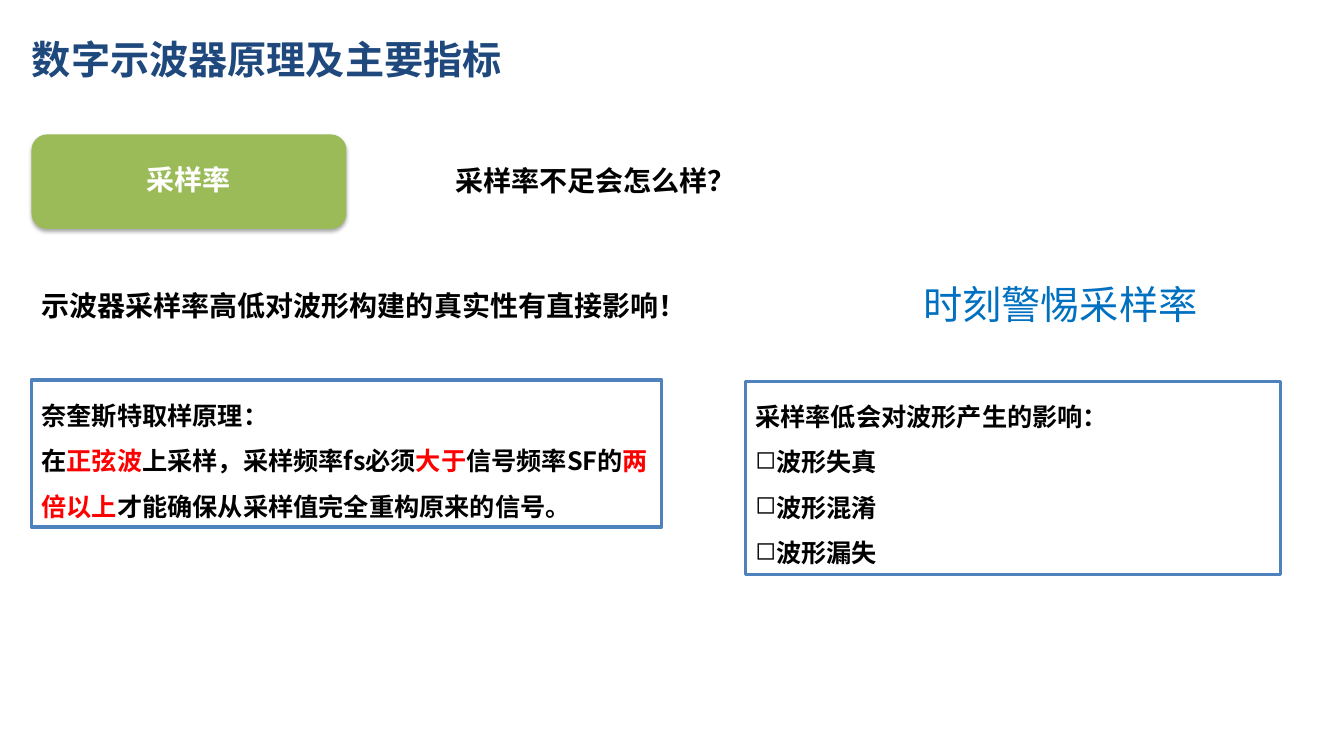
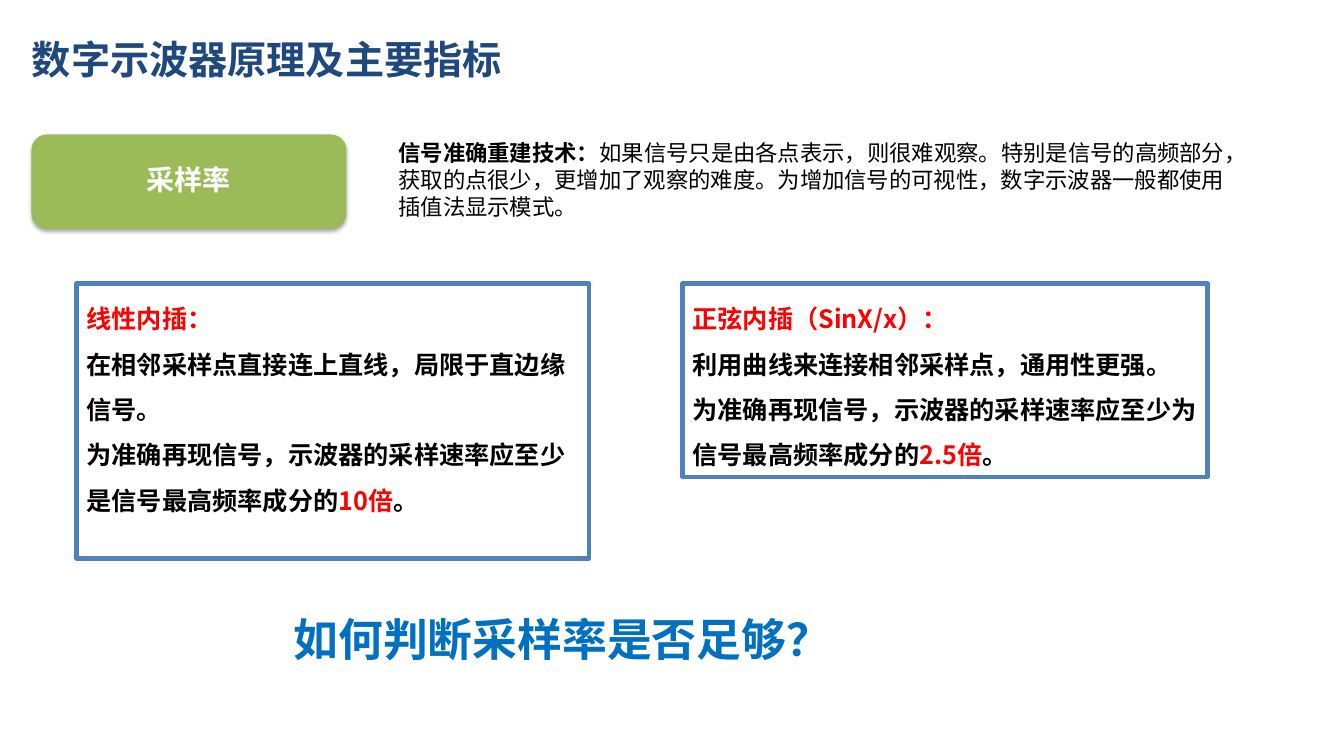
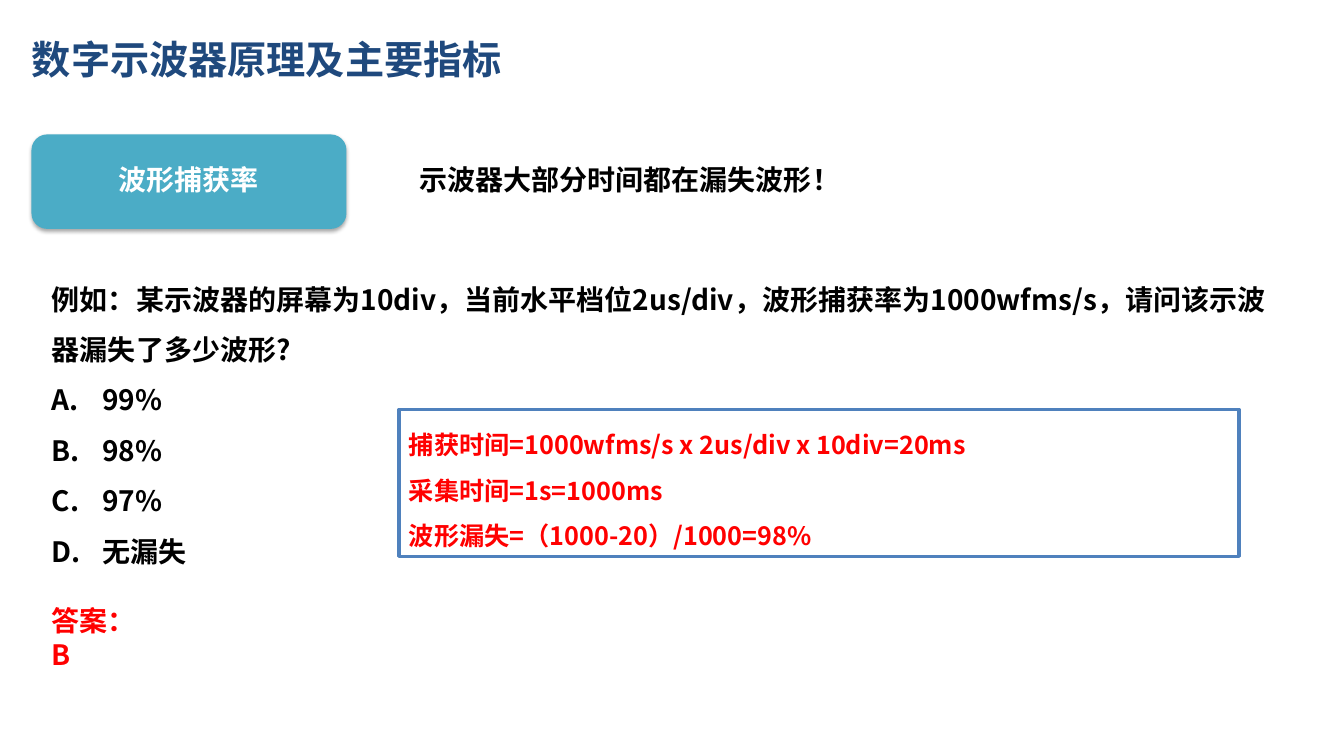
from lxml.etree import SubElement
from pptx import Presentation
from pptx.dml.color import RGBColor
from pptx.enum.shapes import MSO_SHAPE
from pptx.enum.text import MSO_ANCHOR, MSO_AUTO_SIZE, PP_ALIGN
from pptx.oxml.ns import qn
from pptx.util import Pt

PX = 9525
FONT = "Noto Sans CJK SC"
TITLE = "数字示波器原理及主要指标"
COLORS = {
    "title": "1F497D",
    "text": "000000",
    "white": "FFFFFF",
    "red": "FF0000",
    "blue": "0070C0",
    "border": "4F81BD",
    "green": "9BBB59",
    "teal": "4BACC6",
}
RED = {"color": "red"}
BLACK = {"color": "text"}
SQUARE = {"tag": "a:buChar", "attrs": {"char": "◻"}, "indent": 20}
LETTER = {"tag": "a:buAutoNum", "attrs": {"type": "alphaUcPeriod"}, "indent": 48}


def rgb(name):
    return RGBColor.from_string(COLORS[name])


def emu(*lengths):
    return [n * PX for n in lengths]


def set_bullet(p, bullet):
    pPr = p._p.get_or_add_pPr()
    pPr.set("marL", str(bullet["indent"] * PX))
    pPr.set("indent", str(-bullet["indent"] * PX))
    SubElement(pPr, qn(bullet["tag"]), bullet["attrs"])


def add_run(p, text, size=18, color="text", bold=True):
    r = p.add_run()
    r.text = text
    r.font.size = Pt(size)
    r.font.bold = bold
    r.font.color.rgb = rgb(color)
    r.font.name = FONT
    SubElement(r.font._element, qn("a:ea"), typeface=FONT)


def write(sp, *lines, spacing=None, align=PP_ALIGN.LEFT, anchor=MSO_ANCHOR.TOP,
          wrap=True, grow=True, accent=None, bullet=None, **font):
    tf = sp.text_frame
    tf.word_wrap = wrap
    tf.vertical_anchor = anchor
    tf.auto_size = MSO_AUTO_SIZE.SHAPE_TO_FIT_TEXT if grow else MSO_AUTO_SIZE.NONE
    for i, line in enumerate(lines):
        p = tf.paragraphs[0] if i == 0 else tf.add_paragraph()
        if bullet and i > 0:
            set_bullet(p, bullet)
        p.alignment = align
        if spacing:
            p.line_spacing = spacing
        for j, part in enumerate(line.split("|")):
            if part:
                add_run(p, part, **{**font, **(accent if j % 2 else {})})


def add_label(s, box, *lines, **fmt):
    write(s.shapes.add_textbox(*emu(*box)), *lines, **fmt)


def add_panel(s, box, *lines, width=2.25, **fmt):
    sp = s.shapes.add_shape(MSO_SHAPE.RECTANGLE, *emu(*box))
    sp.shadow.inherit = False
    sp.fill.background()
    sp.line.color.rgb = rgb("border")
    sp.line.width = Pt(width)
    write(sp, *lines, spacing=1.5, **fmt)


def add_badge(s, text, color):
    sp = s.shapes.add_shape(MSO_SHAPE.ROUNDED_RECTANGLE, *emu(30, 128, 300, 90))
    sp.fill.solid()
    sp.fill.fore_color.rgb = rgb(color)
    sp.line.fill.background()
    sp.shadow.inherit = False
    effects = sp._element.spPr.find(qn("a:effectLst"))
    shadow = SubElement(effects, qn("a:outerShdw"), blurRad=str(Pt(3.1)),
                        dist=str(Pt(1.8)), dir="5400000", rotWithShape="0")
    clr = SubElement(shadow, qn("a:srgbClr"), val=COLORS["text"])
    SubElement(clr, qn("a:alpha"), val="35000")
    write(sp, text, size=20, color="white", spacing=0.9, grow=False,
          align=PP_ALIGN.CENTER, anchor=MSO_ANCHOR.MIDDLE)


def add_topic_slide(prs, topic, color):
    s = prs.slides.add_slide(prs.slide_layouts[6])
    add_label(s, (21, 24, 1120, 64), TITLE, size=28, color="title",
              grow=False, anchor=MSO_ANCHOR.MIDDLE)
    add_badge(s, topic, color)
    return s


def build_sampling(prs):
    s = add_topic_slide(prs, "采样率", "green")
    add_label(s, (424, 135, 586, 59), "采样率不足会怎么样？", size=20, spacing=1.5)
    add_label(s, (30, 270, 1030, 42),
              "示波器采样率高低对波形构建的真实性有直接影响！", size=20)
    add_panel(s, (30, 362, 600, 140),
              "奈奎斯特取样原理：",
              "在|正弦波|上采样，采样频率fs必须|大于|信号频率SF的|两倍以上|"
              "才能确保从采样值完全重构原来的信号。", accent=RED)
    add_panel(s, (710, 363, 510, 184),
              "采样率低会对波形产生的影响：", "波形失真", "波形混淆", "波形漏失",
              bullet=SQUARE)
    add_label(s, (870, 262, 283, 55), "时刻警惕采样率",
              size=28, color="blue", bold=False, wrap=False)


def build_interpolation(prs):
    s = add_topic_slide(prs, "采样率", "green")
    add_label(s, (370, 128, 820, 87),
              "信号准确重建技术：|如果信号只是由各点表示，则很难观察。"
              "特别是信号的高频部分，获取的点很少，更增加了观察的难度。"
              "为增加信号的可视性，数字示波器一般都使用插值法显示模式。",
              size=16, accent={"bold": False})
    add_panel(s, (73, 270, 488, 262),
              "|线性内插：|",
              "在相邻采样点直接连上直线，局限于直边缘信号。",
              "为准确再现信号，示波器的采样速率应至少是信号最高频率成分的|10倍|。",
              width=3, grow=False, accent=RED)
    add_panel(s, (650, 270, 500, 184),
              "|正弦内插（SinX/x）：|",
              "利用曲线来连接相邻采样点，通用性更强。",
              "为准确再现信号，示波器的采样速率应至少为信号最高频率成分的|2.5倍|。",
              width=3, accent=RED)
    add_label(s, (270, 578, 539, 61), "如何判断采样率是否足够？",
              size=32, color="blue", wrap=False)


def build_capture_rate(prs):
    s = add_topic_slide(prs, "波形捕获率", "teal")
    add_label(s, (40, 248, 1180, 300),
              "例如：某示波器的屏幕为10div，当前水平档位2us/div，"
              "波形捕获率为1000wfms/s，请问该示波器漏失了多少波形?",
              "99%", "98%", "97%", "无漏失",
              size=20, spacing=1.5, bullet=LETTER)
    add_label(s, (40, 570, 110, 42), "答案：B", size=20, color="red")
    add_label(s, (390, 150, 423, 42), "示波器大部分时间都在漏失波形！",
              size=20, wrap=False)
    add_panel(s, (380, 390, 800, 140),
              "捕获时间=1000wfms/s x 2us/div x 10div=20ms",
              "采集时间=1s=1000ms",
              "波形漏失=（1000-20）/1000=98%", color="red")


def main():
    prs = Presentation()
    prs.slide_width, prs.slide_height = emu(1280, 720)
    build_sampling(prs)
    build_interpolation(prs)
    build_capture_rate(prs)
    prs.save("out.pptx")


if __name__ == "__main__":
    main()
